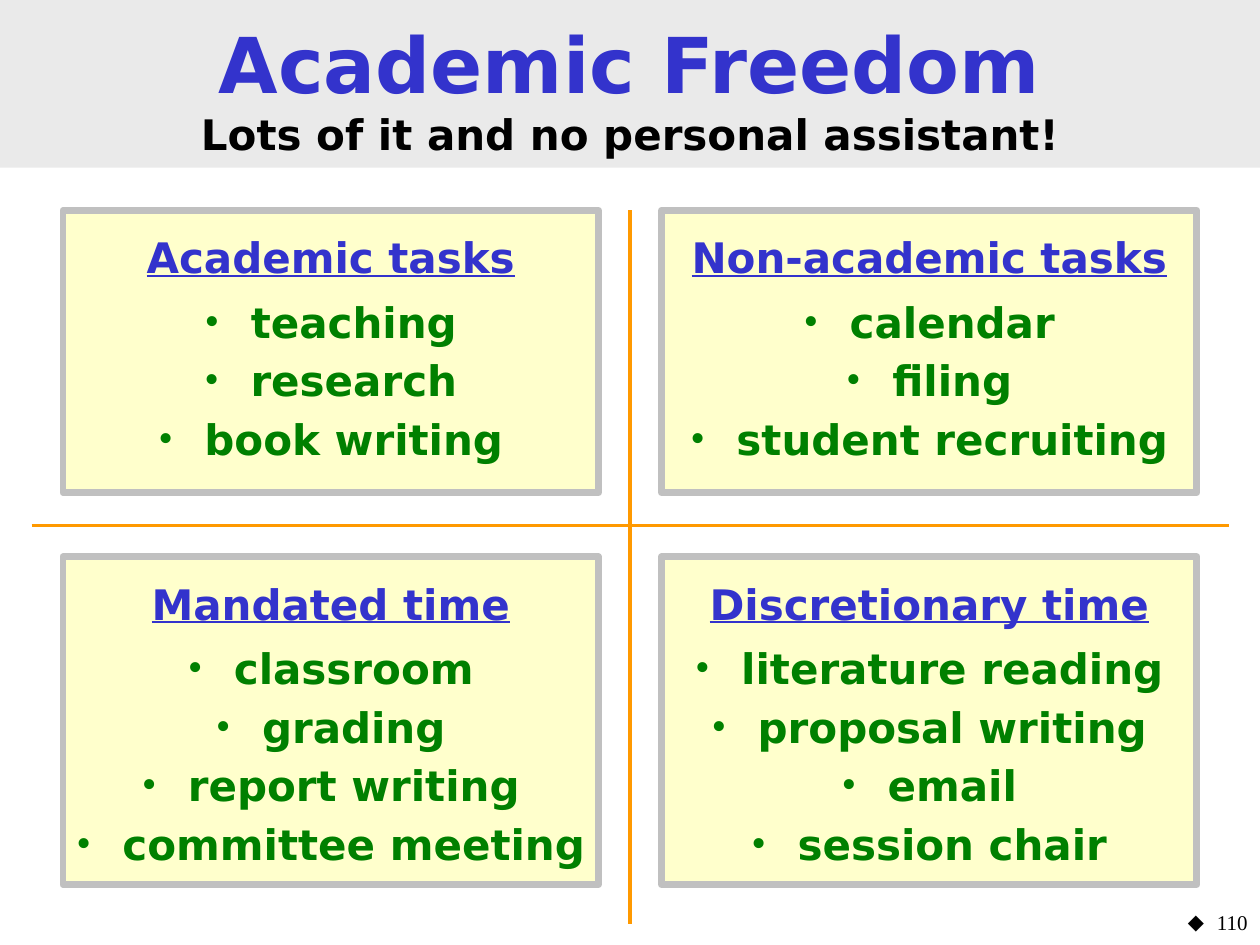
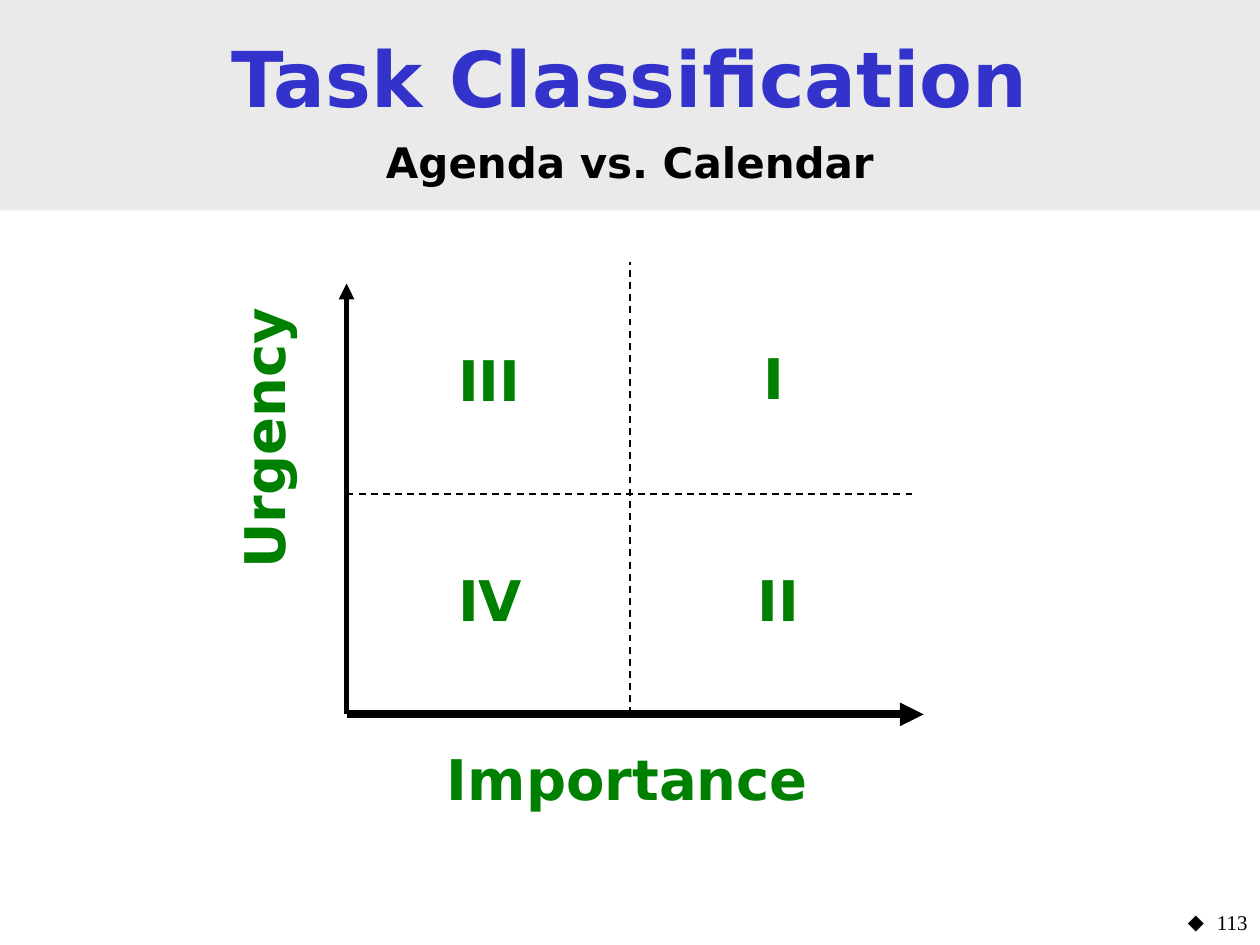
from lxml.etree import SubElement
from pptx import Presentation
from pptx.dml.color import RGBColor
from pptx.enum.dml import MSO_LINE
from pptx.enum.shapes import MSO_CONNECTOR, MSO_SHAPE
from pptx.enum.text import MSO_ANCHOR, MSO_AUTO_SIZE, PP_ALIGN
from pptx.oxml.ns import qn
from pptx.util import Inches, Pt

BLUE = RGBColor(0x33, 0x33, 0xCC)
GREEN = RGBColor(0x00, 0x80, 0x00)
ORANGE = RGBColor(0xFF, 0x99, 0x00)
BLACK = RGBColor(0x00, 0x00, 0x00)
BAND = RGBColor(0xEA, 0xEA, 0xEA)
CREAM = RGBColor(0xFF, 0xFF, 0xCC)
SILVER = RGBColor(0xC0, 0xC0, 0xC0)
SANS, SERIF = "DejaVu Sans", "Times New Roman"


class Deck:
    """Holds the shared style and the slide being built."""

    def __init__(self):
        self.prs = Presentation()
        self.prs.slide_width, self.prs.slide_height = Inches(10), Inches(7.5)
        self.slide = None

    def new_slide(self, title, subtitle, band_height, number, gap=0):
        self.slide = self.prs.slides.add_slide(self.prs.slide_layouts[5])
        band = self.slide.shapes.title
        band.left, band.top = Inches(0), Inches(0)
        band.width, band.height = Inches(10), Inches(band_height)
        band.fill.solid()
        band.fill.fore_color.rgb = BAND
        frame = band.text_frame
        frame.auto_size = MSO_AUTO_SIZE.NONE
        frame.vertical_anchor = MSO_ANCHOR.MIDDLE
        frame.margin_top, frame.margin_bottom = Inches(0.11), Inches(0.05)
        self.set_text(frame.paragraphs[0], title, 44, BLUE)
        self.set_text(frame.add_paragraph(), subtitle, 24, BLACK, before=gap)
        self.page_number(number)

    def set_text(self, paragraph, text, size, color, font=SANS, bold=True,
                 align=PP_ALIGN.CENTER, before=0):
        paragraph.text = text
        paragraph.alignment = align
        paragraph.space_before = Pt(before)
        paragraph.font.name = font
        paragraph.font.size = Pt(size)
        paragraph.font.bold = bold
        paragraph.font.color.rgb = color

    def indent(self, paragraph, hang, bullet=None, font=SERIF):
        props = paragraph._p.get_or_add_pPr()
        props.set("marL", str(Inches(hang)))
        props.set("indent", str(-Inches(hang)))
        if bullet:
            marks = [("a:buFont", "typeface", font), ("a:buChar", "char", bullet)]
            following = props.find(qn("a:defRPr"))
            for tag, key, value in marks:
                mark = SubElement(props, qn(tag))
                mark.set(key, value)
                following.addprevious(mark)

    def page_number(self, number):
        footer = self.slide.shapes.add_textbox(
            Inches(7.92), Inches(7.17), Inches(2.08), Inches(0.5))
        footer.text_frame.word_wrap = True
        line = footer.text_frame.paragraphs[0]
        self.set_text(line, number, 12, BLACK, SERIF, False, PP_ALIGN.RIGHT)
        self.indent(line, 0.23, "◆", SANS)

    def card(self, left, top, height, heading, items):
        card = self.slide.shapes.add_shape(
            MSO_SHAPE.RECTANGLE, Inches(left), Inches(top), Inches(4.25), Inches(height))
        card.shadow.inherit = False
        card.fill.solid()
        card.fill.fore_color.rgb = CREAM
        card.line.color.rgb = SILVER
        card.line.width = Pt(4)
        frame = card.text_frame
        frame.word_wrap = True
        frame.vertical_anchor = MSO_ANCHOR.TOP
        frame.margin_left = frame.margin_right = Inches(0.05)
        frame.margin_top = Inches(0.17)
        self.set_text(frame.paragraphs[0], heading, 24, BLUE)
        frame.paragraphs[0].font.underline = True
        for index, item in enumerate(items):
            line = frame.add_paragraph()
            self.set_text(line, f" {item}", 24, GREEN, before=4.6 if index else 8)
            self.indent(line, 0.25, "•")

    def line(self, start, end, color, width, dashed=False, arrow=False):
        line = self.slide.shapes.add_connector(
            MSO_CONNECTOR.STRAIGHT, *map(Inches, (*start, *end)))
        line.line.color.rgb = color
        line.line.width = Pt(width)
        if dashed:
            line.line.dash_style = MSO_LINE.DASH
        if arrow:
            outline = line._element.spPr.find(qn("a:ln"))
            SubElement(outline, qn("a:tailEnd")).set("type", "triangle")
        SubElement(line._element.spPr, qn("a:effectLst"))

    def label(self, text, left, top, width, height=0.58, upward=False):
        label = self.slide.shapes.add_textbox(*map(Inches, (left, top, width, height)))
        frame = label.text_frame
        frame.word_wrap = False
        frame.auto_size = MSO_AUTO_SIZE.SHAPE_TO_FIT_TEXT
        line = frame.paragraphs[0]
        self.set_text(line, text, 32, GREEN)
        line.line_spacing = 0.9
        self.indent(line, 0.38)
        if upward:
            label.rotation = 180
            frame._txBody.bodyPr.set("vert", "eaVert")


def academic_freedom(deck):
    """Build the slide with four task cards."""
    deck.new_slide("Academic Freedom", "Lots of it and no personal assistant!", 1.33, "110")
    deck.line((0.25, 4.17), (9.75, 4.17), ORANGE, 2)
    deck.line((5, 1.67), (5, 7.33), ORANGE, 2)
    rows = [
        (1.67, 2.24, [
            ("Academic tasks", ["teaching", "research", "book writing"]),
            ("Non-academic tasks", ["calendar", "filing", "student recruiting"])]),
        (4.42, 2.6, [
            ("Mandated time",
             ["classroom", "grading", "report writing", "committee meeting"]),
            ("Discretionary time",
             ["literature reading", "proposal writing", "email", "session chair"])]),
    ]
    for top, height, cards in rows:
        for left, (heading, items) in zip((0.5, 5.25), cards):
            deck.card(left, top, height, heading, items)


def task_classification(deck):
    """Build the slide with the urgency and importance axes."""
    deck.new_slide("Task Classification", "Agenda vs. Calendar", 1.67, "113", gap=8)
    origin = (2.75, 5.67)
    deck.line(origin, (7.33, 5.67), BLACK, 4.5, arrow=True)
    deck.line(origin, (2.75, 2.25), BLACK, 3, arrow=True)
    deck.line((2.75, 3.92), (7.25, 3.92), BLACK, 1, dashed=True)
    deck.line((5, 5.67), (5, 2.08), BLACK, 1, dashed=True)
    deck.label("Importance", 3.42, 5.92, 3.12)
    deck.label("Urgency", 1.83, 2.83, 0.68, 2.16, upward=True)
    quadrants = [("I", 5.92, 2.74, 0.44), ("II", 5.83, 4.5, 0.69),
                 ("III", 3.42, 2.75, 0.93), ("IV", 3.5, 4.5, 0.78)]
    for quadrant in quadrants:
        deck.label(*quadrant)


def main():
    """Build both slides and save them."""
    deck = Deck()
    academic_freedom(deck)
    task_classification(deck)
    deck.prs.save("out.pptx")


if __name__ == "__main__":
    main()
